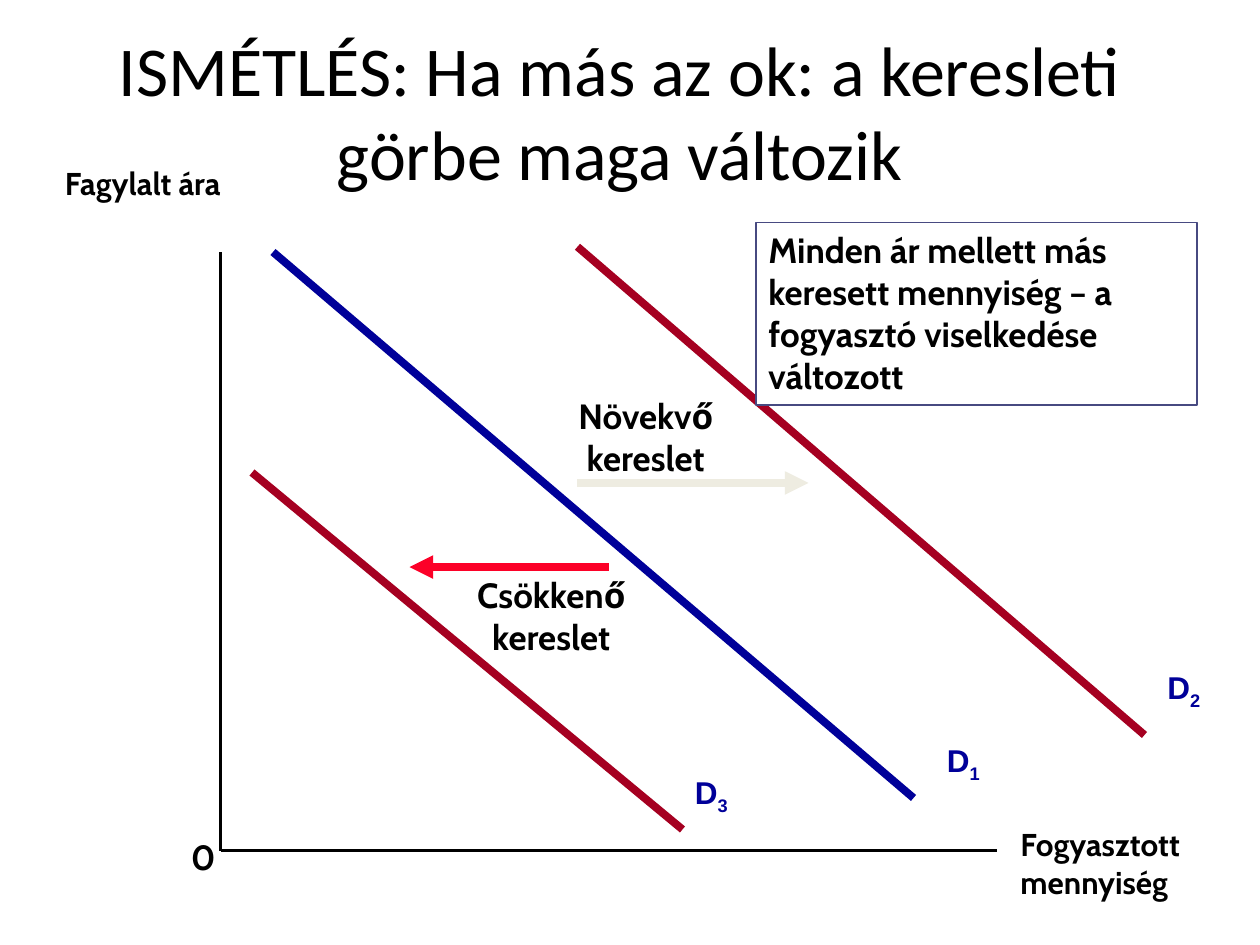
from lxml import etree
from pptx import Presentation
from pptx import util as u
from pptx.dml.color import RGBColor
from pptx.enum import shapes, text
from pptx.oxml.ns import qn

PX = 7620
BLACK = RGBColor(0x00, 0x00, 0x00)
WHITE = RGBColor(0xFF, 0xFF, 0xFF)
BLUE = RGBColor(0x00, 0x00, 0x99)
CRIMSON = RGBColor(0xA5, 0x00, 0x21)
RED = RGBColor(0xFC, 0x01, 0x28)
CREAM = RGBColor(0xEE, 0xEC, 0xE1)
INDIGO = RGBColor(0x47, 0x4A, 0x81)


def px(*lengths):
    return [u.Emu(n * PX) for n in lengths]


def add_run(p, words, size=20, font="Cabin", color=BLACK, bold=True, base=None):
    r = p.add_run()
    r.text = words
    r.font.size = u.Pt(size)
    r.font.name = font
    r.font.bold = bold
    r.font.color.rgb = color
    if base is not None:
        r.font._element.set("baseline", str(base * 1000))
    return r


class DemandSlide:
    def __init__(self, prs):
        self.s = prs.slides.add_slide(prs.slide_layouts[5])

    def title(self, words, *box):
        sp = self.s.shapes.title
        sp.left, sp.top, sp.width, sp.height = px(*box)
        tf = sp.text_frame
        tf.auto_size = text.MSO_AUTO_SIZE.NONE
        tf.vertical_anchor = text.MSO_ANCHOR.MIDDLE
        p = tf.paragraphs[0]
        p.alignment = text.PP_ALIGN.CENTER
        add_run(p, words, size=40, font="Calibri", bold=False)

    def line(self, x1, y1, x2, y2, color=BLACK, width=4.5, arrow=False):
        sp = self.s.shapes.add_connector(
            shapes.MSO_CONNECTOR.STRAIGHT, *px(x1, y1, x2, y2))
        sp.line.color.rgb = color
        sp.line.width = u.Pt(width)
        if arrow:
            etree.SubElement(sp.line._get_or_add_ln(), qn("a:tailEnd"), type="triangle")
        etree.SubElement(sp._element.spPr, qn("a:effectLst"))

    def fill_text(self, sp, words, align=text.PP_ALIGN.LEFT, **style):
        tf = sp.text_frame
        tf.word_wrap = True
        tf.vertical_anchor = text.MSO_ANCHOR.TOP
        p = tf.paragraphs[0]
        p.alignment = align
        add_run(p, words, **style)
        return p

    def label(self, words, *box, **style):
        sp = self.s.shapes.add_textbox(*px(*box))
        return self.fill_text(sp, words, **style)

    def curve_label(self, number, x, y):
        style = dict(size=18, font="Arial", color=BLUE)
        p = self.label("D", x, y, 100, 75, **style)
        add_run(p, number, base=-25, **style)

    def callout(self, words, *box):
        sp = self.s.shapes.add_shape(shapes.MSO_SHAPE.RECTANGLE, *px(*box))
        sp.shadow.inherit = False
        sp.fill.solid()
        sp.fill.fore_color.rgb = WHITE
        sp.line.color.rgb = INDIGO
        sp.line.width = u.Pt(1)
        self.fill_text(sp, words)


def main():
    prs = Presentation()
    prs.slide_width, prs.slide_height = px(1200, 900)
    d = DemandSlide(prs)
    center = text.PP_ALIGN.CENTER

    d.title("ISMÉTLÉS: Ha más az ok: a keresleti görbe maga változik", 80, 30, 1020, 150)

    d.line(210, 240, 210, 810, width=2.25)
    d.line(210, 810, 950, 810, width=2.25)
    d.label("0", 170, 790, 100, 52)
    d.label("Fagylalt ára", 50, 150, 200, 85, size=18)
    d.label("Fogyasztott mennyiség", 960, 780, 220, 85, size=18)

    d.line(260, 240, 870, 760, BLUE)
    d.line(550, 235, 1090, 700, CRIMSON)
    d.line(240, 450, 650, 790, CRIMSON)
    for number, x, y in (("1", 890, 700), ("2", 1100, 630), ("3", 650, 730)):
        d.curve_label(number, x, y)

    d.line(580, 540, 390, 540, RED, arrow=True)
    d.line(550, 460, 770, 460, CREAM, arrow=True)
    d.label("Növekvő kereslet", 480, 370, 270, 92, align=center)
    d.label("Csökkenő kereslet", 390, 540, 270, 92, align=center)

    d.callout("Minden ár mellett más keresett mennyiség – a fogyasztó viselkedése változott",
              720, 212, 420, 174)

    prs.save("out.pptx")


if __name__ == "__main__":
    main()
